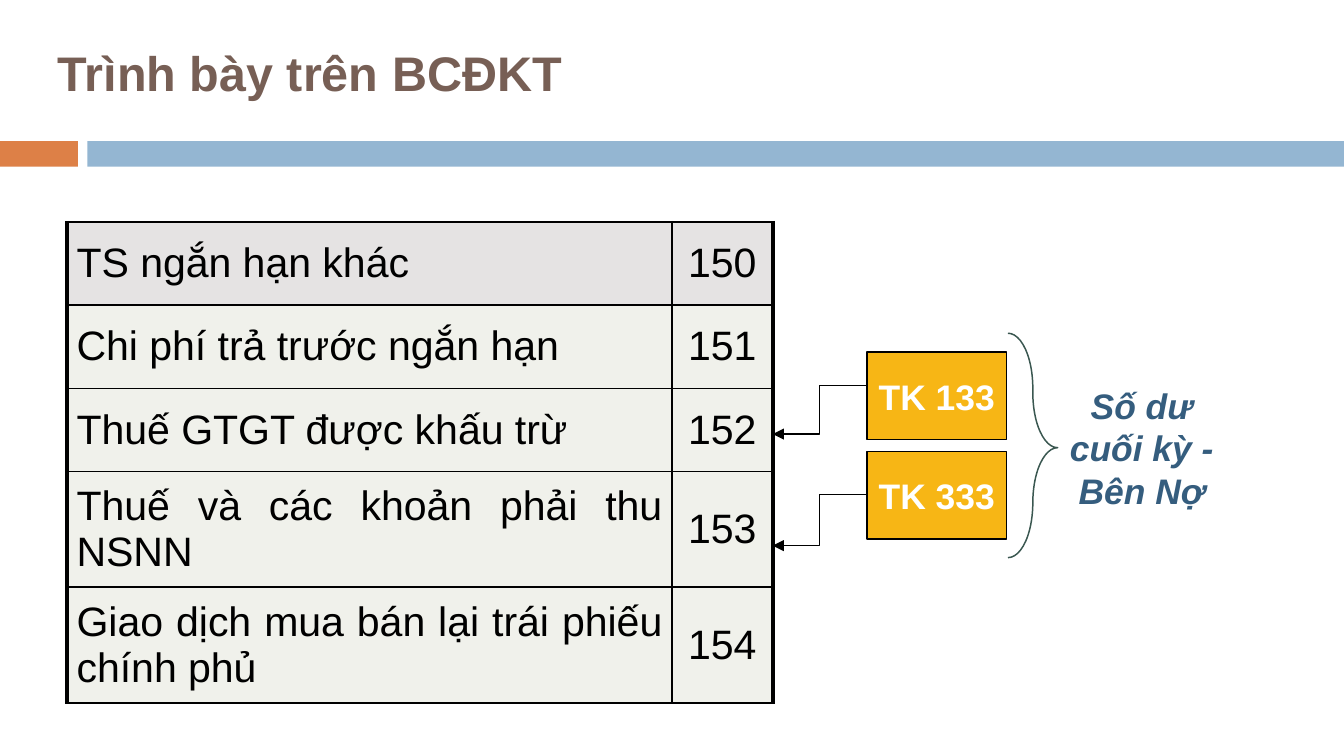
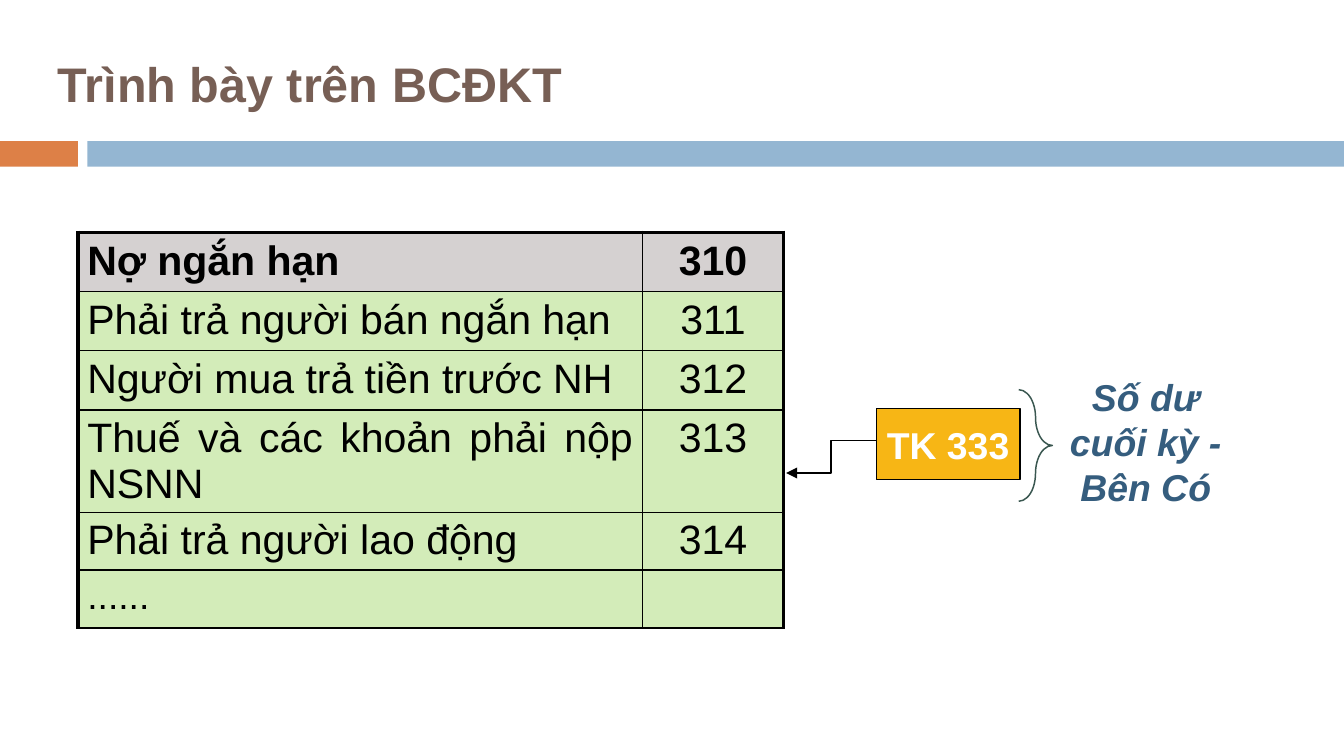
from dataclasses import dataclass

from lxml.etree import SubElement
from pptx import Presentation
from pptx.dml.color import RGBColor
from pptx.enum.shapes import MSO_CONNECTOR, MSO_SHAPE
from pptx.enum.text import MSO_ANCHOR, MSO_AUTO_SIZE, PP_ALIGN
from pptx.oxml.ns import qn
from pptx.util import Inches, Pt

# Style
FONT = "Arial"
BLACK = RGBColor(0x00, 0x00, 0x00)
WHITE = RGBColor(0xFF, 0xFF, 0xFF)
BROWN = RGBColor(0x77, 0x5F, 0x55)
ORANGE = RGBColor(0xDD, 0x80, 0x47)
SKY = RGBColor(0x94, 0xB6, 0xD2)
AMBER = RGBColor(0xF7, 0xB6, 0x15)
NAVY = RGBColor(0x35, 0x5D, 0x7E)
PINE = RGBColor(0x3A, 0x57, 0x50)
MAUVE = RGBColor(0xC0, 0xBA, 0xBA)
SAND = RGBColor(0xDB, 0xDD, 0xCD)
GREY = RGBColor(0xD5, 0xD1, 0xD1)
GREEN = RGBColor(0x92, 0xD0, 0x50)
THIN, THICK = 1, 2.25

# The grid has 100 columns across the slide; rows are as tall as columns are wide
COLUMNS = 100


@dataclass
class Item:
    """One line of the balance sheet."""
    label: str
    code: str
    height: float
    fill: RGBColor
    opacity: int = 40
    bold: bool = False
    size: int = 22
    align: PP_ALIGN = PP_ALIGN.JUSTIFY


class Deck:
    def __init__(self):
        self.prs = Presentation()
        self.prs.slide_width = Inches(10)
        self.prs.slide_height = Inches(5.625)
        self.unit = self.prs.slide_width / COLUMNS
        self.layout = self.prs.slide_layouts.get_by_name("Title Only")
        self.slide = None

    def grid(self, *cells):
        return [round(cell * self.unit) for cell in cells]

    def add_text(self, frame, text, size, color, bold=False, italic=False,
                 align=PP_ALIGN.CENTER):
        paragraph = frame.paragraphs[0]
        paragraph.alignment = align
        run = paragraph.add_run()
        run.text = text
        font = run.font
        font.name, font.size, font.color.rgb = FONT, Pt(size), color
        font.bold, font.italic = bold, italic

    def shape(self, kind, area, fill=None, line=None, weight=0.75):
        shape = self.slide.shapes.add_shape(kind, *self.grid(*area))
        shape.shadow.inherit = False
        if fill is None:
            shape.fill.background()
        else:
            shape.fill.solid()
            shape.fill.fore_color.rgb = fill
        if line is None:
            shape.line.fill.background()
        else:
            shape.line.color.rgb = line
            shape.line.width = Pt(weight)
        return shape

    def bands(self):
        """Draw the two bands and move them to the shared layout."""
        tree = self.layout.shapes.element
        for left, width, color in ((0, 5.8, ORANGE), (6.5, 93.5, SKY)):
            band = self.shape(MSO_SHAPE.RECTANGLE, (left, 10.5, width, 1.9), color)
            ids = [int(value) for value in tree.xpath(".//p:cNvPr/@id")]
            band.element.xpath(".//p:cNvPr")[0].set("id", str(max(ids) + 1))
            tree.append(band.element)

    def new_slide(self, title, top):
        first = self.slide is None
        self.slide = self.prs.slides.add_slide(self.layout)
        if first:
            self.bands()
        holder = self.slide.shapes.title
        holder.left, holder.top, holder.width, holder.height = self.grid(
            3.3, top, 66.9, 6.1)
        holder.text_frame.vertical_anchor = MSO_ANCHOR.MIDDLE
        self.add_text(holder.text_frame, title, 26, BROWN, bold=True,
                      align=PP_ALIGN.LEFT)

    def cell(self, cell, text, item, align, anchor, borders):
        cell.margin_left = cell.margin_right = Inches(0.07)
        cell.margin_top = cell.margin_bottom = Inches(0.04)
        cell.vertical_anchor = anchor
        if text:
            self.add_text(cell.text_frame, text, item.size, BLACK, item.bold,
                          align=align)
        cell.fill.solid()
        cell.fill.fore_color.rgb = item.fill
        props = cell._tc.get_or_add_tcPr()
        color = props.find(qn("a:solidFill"))[0]
        SubElement(color, qn("a:alpha"), val=str(item.opacity * 1000))
        for place, (side, weight) in enumerate(borders.items()):
            line = SubElement(props, qn("a:ln" + side), w=str(Pt(weight)))
            SubElement(SubElement(line, qn("a:solidFill")),
                       qn("a:srgbClr"), val=str(BLACK))
            props.insert(place, line)

    def balance_sheet(self, area, widths, items, anchor, top_border=THIN):
        frame = self.slide.shapes.add_table(len(items), 2, *self.grid(*area))
        table = frame.table
        table.first_row = table.horz_banding = False
        for column, width in zip(table.columns, self.grid(*widths)):
            column.width = width
        for number, item in enumerate(items):
            table.rows[number].height = self.grid(item.height)[0]
            top = THIN if number else top_border
            label, code = table.rows[number].cells
            self.cell(label, item.label, item, item.align, anchor,
                      {"L": THICK, "R": THIN, "T": top, "B": THIN})
            self.cell(code, item.code, item, PP_ALIGN.CENTER, anchor,
                      {"L": THIN, "R": THICK, "T": top, "B": THIN})
        frame.height = self.grid(area[3])[0]

    def account(self, name, area, size):
        box = self.shape(MSO_SHAPE.RECTANGLE, area, AMBER, BLACK)
        box.text_frame.word_wrap = False
        box.text_frame.vertical_anchor = MSO_ANCHOR.MIDDLE
        self.add_text(box.text_frame, name, size, WHITE, bold=True)

    def arrow(self, start, end):
        arrow = self.slide.shapes.add_connector(
            MSO_CONNECTOR.ELBOW, *self.grid(*start, *end))
        arrow.line.color.rgb = BLACK
        arrow.line.width = Pt(0.75)
        props = arrow.element.spPr
        SubElement(props.find(qn("a:ln")), qn("a:tailEnd"), type="triangle")
        SubElement(props, qn("a:effectLst"))

    def balance_note(self, text, area, size):
        note = self.slide.shapes.add_textbox(*self.grid(*area))
        frame = note.text_frame
        frame.word_wrap = True
        frame.auto_size = MSO_AUTO_SIZE.SHAPE_TO_FIT_TEXT
        frame.vertical_anchor = MSO_ANCHOR.MIDDLE
        self.add_text(frame, text, size, NAVY, bold=True, italic=True)

    def brace(self, area, middle=0.5):
        brace = self.shape(MSO_SHAPE.RIGHT_BRACE, area, line=PINE, weight=0.79)
        brace.adjustments[0] = 1.375
        brace.adjustments[1] = middle


def current_assets(deck):
    deck.new_slide("Trình bày trên BCĐKT", top=2.3)
    items = [
        Item("TS ngắn hạn khác", "150", 6.2, MAUVE),
        Item("Chi phí trả trước ngắn hạn", "151", 6.2, SAND),
        Item("Thuế GTGT được khấu trừ", "152", 6.2, SAND),
        Item("Thuế và các khoản phải thu NSNN", "153", 8.6, SAND),
        Item("Giao dịch mua bán lại trái phiếu chính phủ", "154", 8.6, SAND),
    ]
    deck.balance_sheet((5, 16.5, 52.5, 35.8), (45, 7.5), items, MSO_ANCHOR.MIDDLE)
    # Accounts and the lines they feed
    for name, top, start, end in (("TK 333", 33.6, 36.8, 40.6),
                                  ("TK 133", 26.2, 28.7, 32.3)):
        deck.account(name, (64.5, top, 10.4, 6.5), 19)
        deck.arrow((64.5, start), (57.5, end))
    deck.balance_note("Số dư cuối kỳ - Bên Nợ", (78.3, 28, 13.3, 10.6), 19)
    deck.brace((75, 24.8, 3.7, 16.7), middle=0.51)


def current_liabilities(deck):
    deck.new_slide("Trình bày trên BCĐKT", top=3.1)
    items = [
        Item("Nợ ngắn hạn", "310", 4.4, GREY, opacity=100, bold=True,
             align=PP_ALIGN.LEFT),
        Item("Phải trả người bán ngắn hạn", "311", 4.4, GREEN),
        Item("Người mua trả tiền trước NH", "312", 4.4, GREEN),
        Item("Thuế và các khoản phải nộp NSNN", "313", 4.3, GREEN),
        Item("Phải trả người lao động", "314", 4.3, GREEN),
        Item("......", "", 4.3, GREEN, size=20, align=PP_ALIGN.LEFT),
    ]
    deck.balance_sheet((5.8, 17.3, 52.5, 30.1), (42, 10.5), items,
                       MSO_ANCHOR.TOP, top_border=THICK)
    # Account and the line it feeds
    deck.account("TK 333", (65.2, 30.4, 10.7, 5.3), 20)
    deck.arrow((65.2, 32.8), (58.5, 35.2))
    deck.balance_note("Số dư cuối kỳ - Bên Có", (77.5, 27.3, 15.5, 11.1), 20)
    deck.brace((75.8, 29, 2.5, 8.3))


def main():
    deck = Deck()
    current_assets(deck)
    current_liabilities(deck)
    deck.prs.save("out.pptx")


if __name__ == "__main__":
    main()
